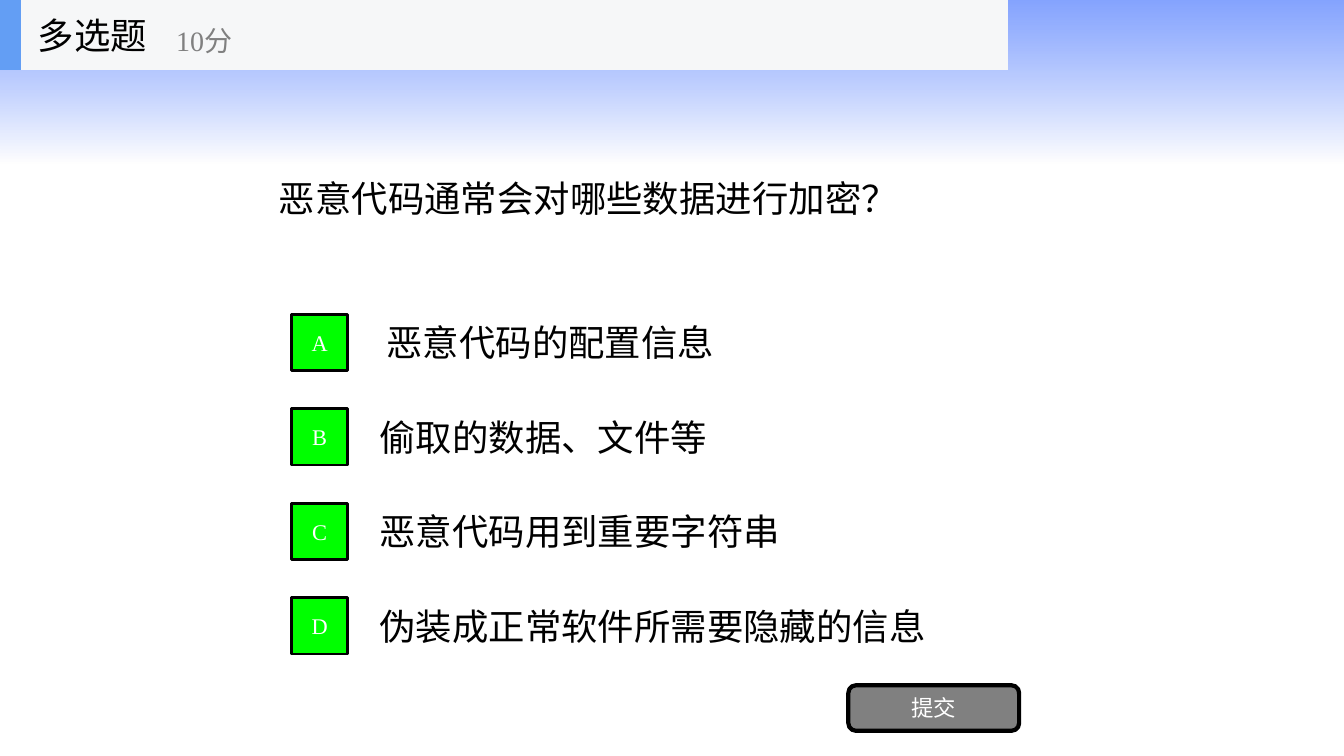
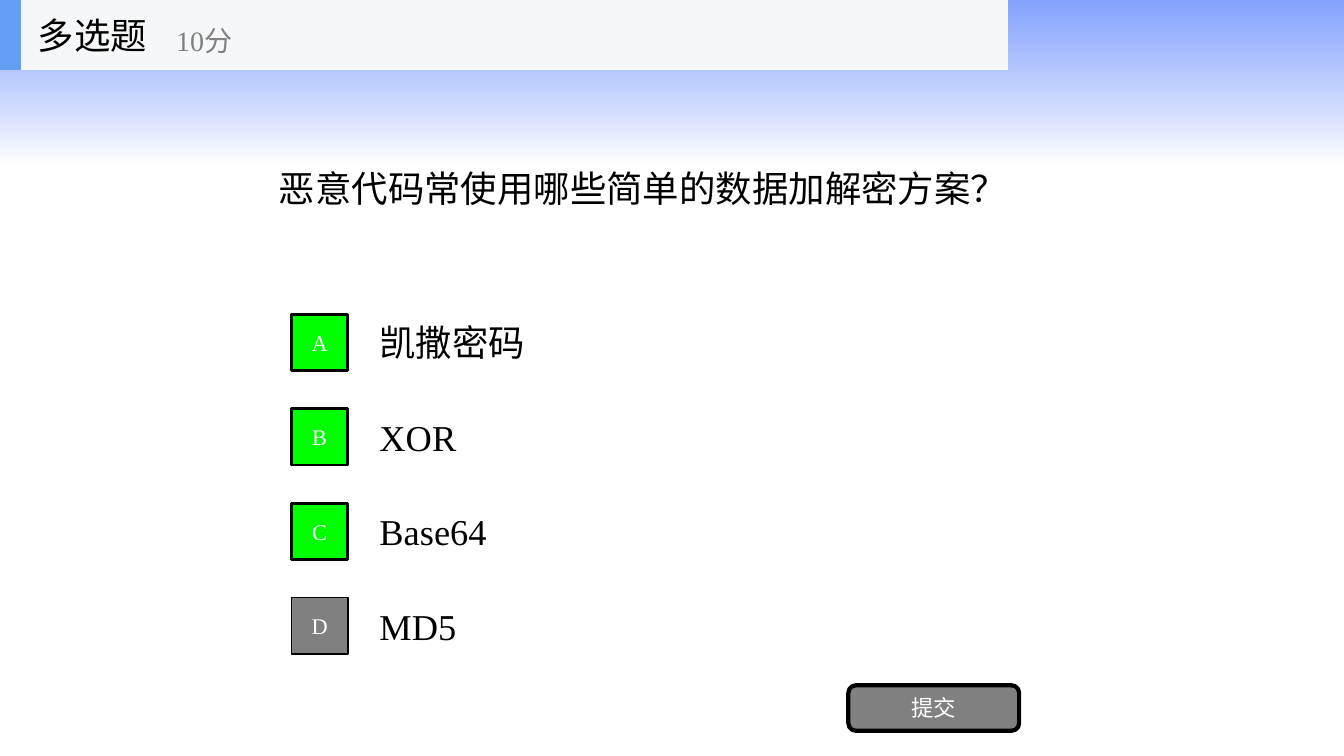
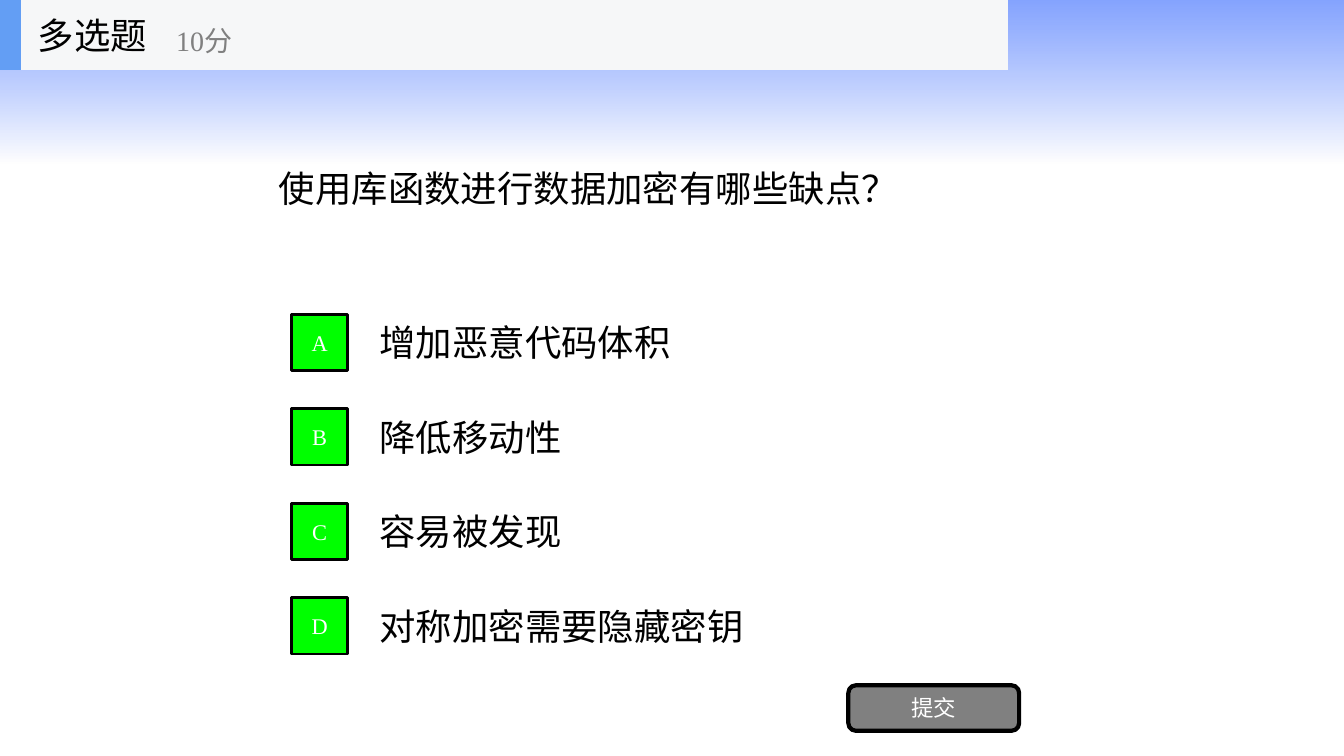
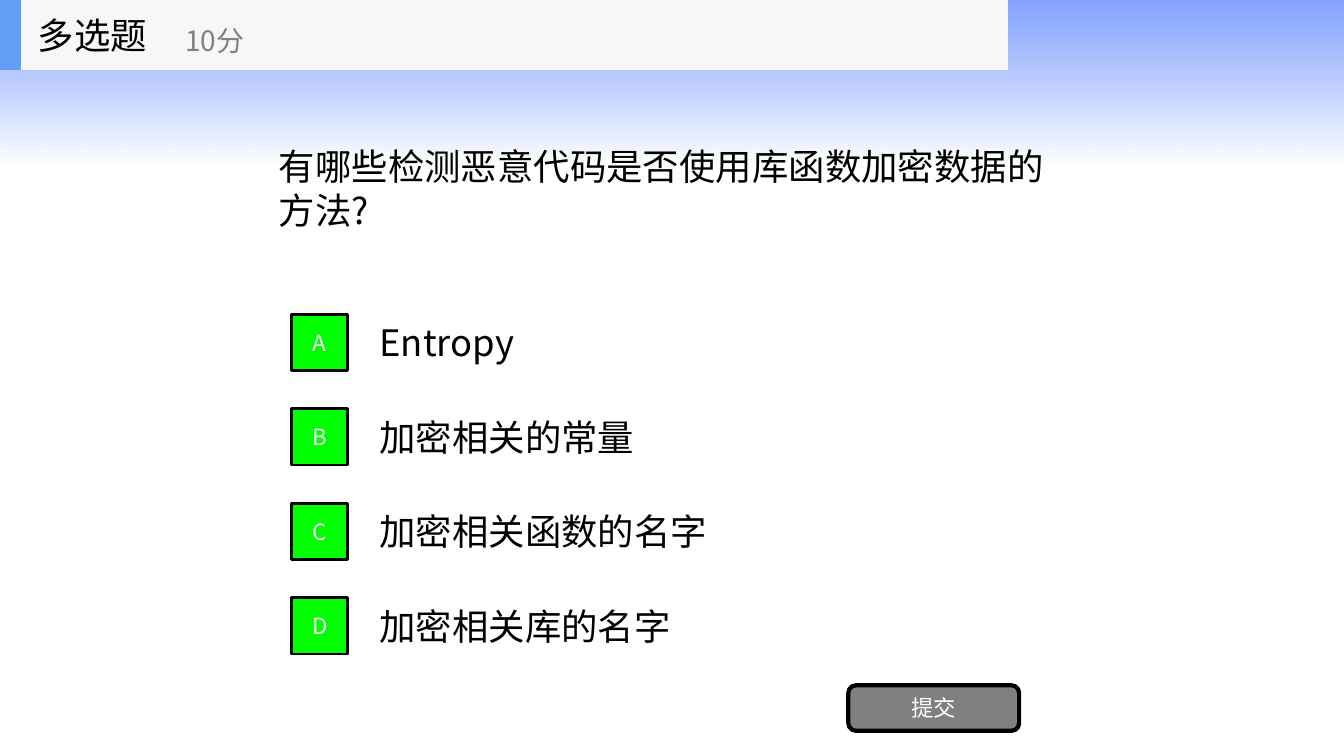
from pptx import Presentation
from pptx.dml.color import RGBColor
from pptx.enum.shapes import MSO_SHAPE as Shape
from pptx.enum.text import MSO_ANCHOR as Anchor, MSO_AUTO_SIZE as AutoSize, PP_ALIGN as Align
from pptx.oxml.ns import qn
from pptx.util import Pt

SERIF, SANS = "Times New Roman", "Noto Sans CJK SC"
BLACK, WHITE, GREY, GREEN = "000000", "FFFFFF", "808080", "00FF00"
HEADER_GREY, HEADER_BLUE, BAND_BLUE = "F6F7F8", "639EF4", "3366FF"
TEXT_SIZE, SCORE_SIZE, BUTTON_SIZE = 26, 20, 16

KIND, SCORE, SUBMIT = "多选题", "10分", "提交"
QUESTIONS = [
    {"question": "恶意代码通常会对哪些数据进行加密？", "top": 57, "first_indent": 5,
     "options": ["恶意代码的配置信息", "偷取的数据、文件等",
                 "恶意代码用到重要字符串", "伪装成正常软件所需要隐藏的信息"],
     "answers": "ABCD"},
    {"question": "恶意代码常使用哪些简单的数据加解密方案？",
     "options": ["凯撒密码", "XOR", "Base64", "MD5"],
     "answers": "ABC"},
    {"question": "使用库函数进行数据加密有哪些缺点？",
     "options": ["增加恶意代码体积", "降低移动性", "容易被发现", "对称加密需要隐藏密钥"],
     "answers": "ABCD"},
    {"question": "有哪些检测恶意代码是否使用库函数加密数据的方法?",
     "font": SANS, "score_left": 125.3,
     "options": ["Entropy", "加密相关的常量", "加密相关函数的名字", "加密相关库的名字"],
     "answers": "ABCD"},
]

SLIDE_WIDTH, SLIDE_HEIGHT = 960, 540
BAND_HEIGHT = 116.6
HEADER_HEIGHT = 50
QUESTION_LEFT, QUESTION_TOP, QUESTION_WIDTH, QUESTION_HEIGHT = 192, 50, 576, 168.5
OPTION_LEFT, OPTION_TOP, OPTION_WIDTH, OPTION_HEIGHT = 264, 219.4, 504, 50.4
OPTION_PITCH = 67.5
BADGE_LEFT, BADGE_SIZE = 208.2, 40.3
BUTTON_AREA = (606, 489.5, 122, 32.5)


def rgb(color):
    return RGBColor.from_string(color)


def write(shape, text, font, size, color, align=Align.LEFT, wrap=True):
    frame = shape.text_frame
    frame.text = text
    frame.word_wrap = wrap
    frame.auto_size = AutoSize.NONE
    frame.vertical_anchor = Anchor.MIDDLE
    para = frame.paragraphs[0]
    para.alignment = align
    span = para.runs[0]
    span.font.name = font
    span.font.size = Pt(size)
    span.font.color.rgb = rgb(color)
    east_asian = span.font.fill._xPr.makeelement(qn("a:ea"), {"typeface": SANS})
    span._r.rPr.find(qn("a:latin")).addnext(east_asian)


def add_label(shapes, area, text, font, size=TEXT_SIZE, color=BLACK, wrap=True):
    box = shapes.add_textbox(*map(Pt, area))
    write(box, text, font, size, color, wrap=wrap)


def add_block(shapes, area, fill, line=0, kind=Shape.RECTANGLE):
    block = shapes.add_shape(kind, *map(Pt, area))
    block.shadow.inherit = False
    block.fill.solid()
    block.fill.fore_color.rgb = rgb(fill)
    if line:
        block.line.color.rgb = rgb(BLACK)
        block.line.width = Pt(line)
    else:
        block.line.fill.background()
    return block


def add_button(shapes, area, text, font, fill, line, kind=Shape.RECTANGLE):
    button = add_block(shapes, area, fill, line, kind)
    write(button, text, font, BUTTON_SIZE, WHITE, Align.CENTER)


def put_band_on_layout(page):
    """Draw the fading band and move it to the layout, behind every slide."""
    band = add_block(page.shapes, (0, 0, SLIDE_WIDTH, BAND_HEIGHT), BAND_BLUE)
    band.fill.gradient()
    band.fill.gradient_angle = 270
    stops = zip(band.fill.gradient_stops, (0, 1), (BAND_BLUE, WHITE))
    for stop, position, color in stops:
        stop.position = position
        stop.color.rgb = rgb(color)
    for color, alpha in zip(band.element.spPr.iter(qn("a:srgbClr")), ("60000", "70000")):
        color.append(color.makeelement(qn("a:alpha"), {"val": alpha}))
    band.element.nvSpPr.cNvPr.set("id", "100")
    page.slide_layout.shapes.element.insert(2, band.element)


def add_header(page, font, score_left):
    shapes = page.shapes.add_group_shape().shapes
    add_block(shapes, (0, 0, 720, HEADER_HEIGHT), HEADER_GREY)
    add_block(shapes, (0, 0, 15, HEADER_HEIGHT), HEADER_BLUE)
    add_label(shapes, (20, 0, 150, HEADER_HEIGHT), KIND, font, wrap=False)
    add_label(shapes, (score_left, 9, 180, 40), SCORE, font, SCORE_SIZE, GREY, wrap=False)


def add_options(page, item, font):
    for row, (letter, option) in enumerate(zip("ABCD", item["options"])):
        top = OPTION_TOP + row * OPTION_PITCH
        indent = 0 if row else item.get("first_indent", 0)
        add_label(page.shapes,
                  (OPTION_LEFT + indent, top, OPTION_WIDTH - indent, OPTION_HEIGHT),
                  option, font)
        badge_top = top + (OPTION_HEIGHT - BADGE_SIZE) / 2
        fill, line = (GREEN, 2) if letter in item["answers"] else (GREY, 1)
        add_button(page.shapes, (BADGE_LEFT, badge_top, BADGE_SIZE, BADGE_SIZE),
                   letter, font, fill, line)


def add_question(page, item):
    font = item.get("font", SERIF)
    title = page.shapes.title
    title.left, title.top = Pt(QUESTION_LEFT), Pt(item.get("top", QUESTION_TOP))
    title.width, title.height = Pt(QUESTION_WIDTH), Pt(QUESTION_HEIGHT)
    write(title, item["question"], font, TEXT_SIZE, BLACK)
    add_options(page, item, font)
    add_button(page.shapes, BUTTON_AREA, SUBMIT, font, GREY, 3, Shape.ROUNDED_RECTANGLE)
    add_header(page, font, item.get("score_left", 118.8))


def main():
    deck = Presentation()
    deck.slide_width, deck.slide_height = Pt(SLIDE_WIDTH), Pt(SLIDE_HEIGHT)
    title_only = deck.slide_layouts[5]
    pages = [deck.slides.add_slide(title_only) for _ in QUESTIONS]
    put_band_on_layout(pages[0])
    for page, item in zip(pages, QUESTIONS):
        add_question(page, item)
    deck.save("out.pptx")


if __name__ == "__main__":
    main()
